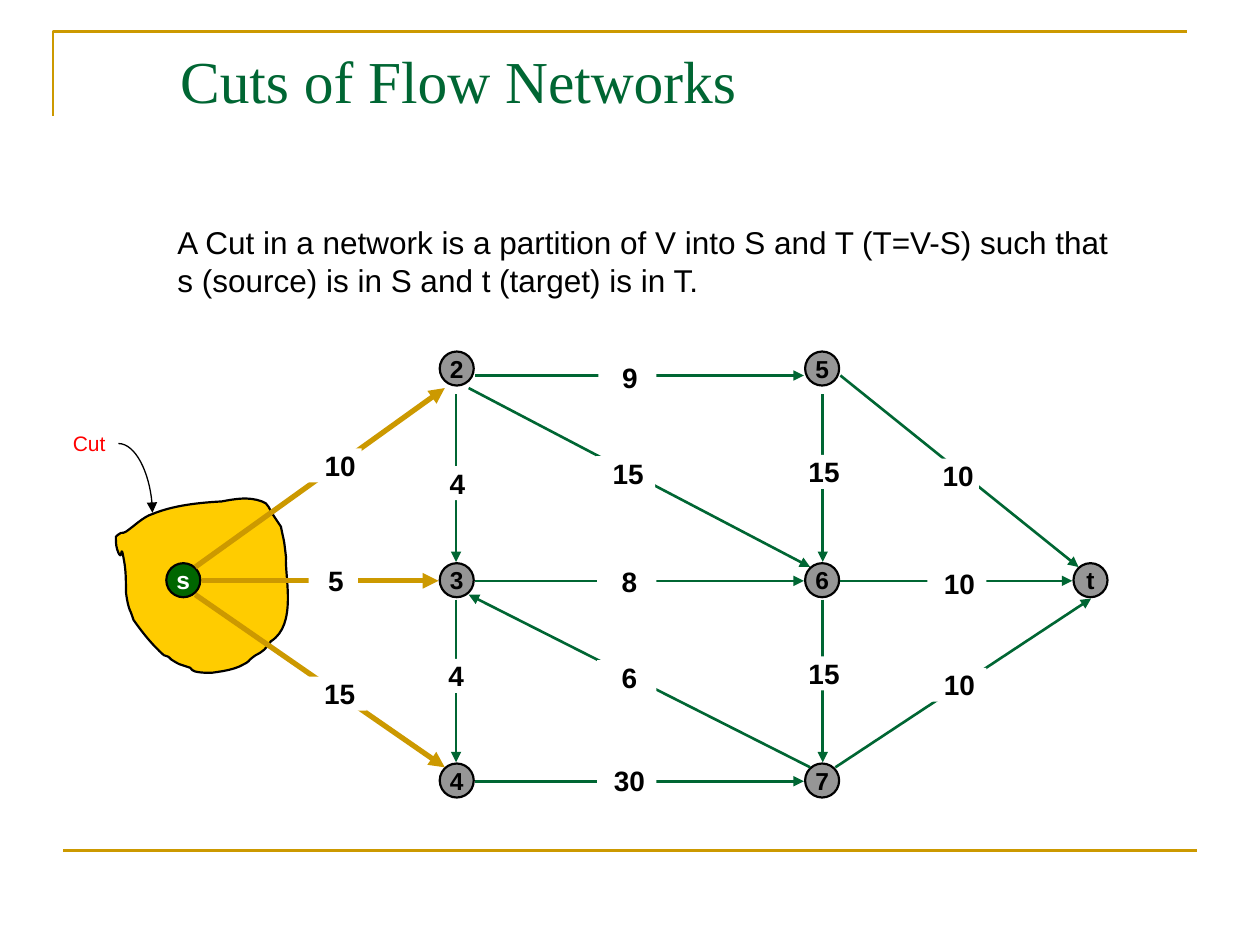
from typing import NamedTuple

from lxml.etree import SubElement
from pptx import Presentation
from pptx.dml.color import RGBColor
from pptx.enum.shapes import MSO_CONNECTOR, MSO_SHAPE
from pptx.enum.text import MSO_ANCHOR, PP_ALIGN
from pptx.oxml.ns import qn
from pptx.util import Inches, Pt

COLORS = {
    "gold": "CC9900", "green": "006633", "yellow": "FFCC00", "source": "006600",
    "gray": "969696", "black": "000000", "white": "FFFFFF", "red": "FF0000",
}


class Node(NamedTuple):
    name: str
    x: float
    y: float
    fill: str = "gray"
    color: str = "black"


class Edge(NamedTuple):
    x1: float
    y1: float
    x2: float
    y2: float
    color: str = "green"
    width: float = 1.5


class Capacity(NamedTuple):
    value: str
    x: float
    y: float
    width: float = 0.47
    indent: float = 0.04


SIZE = 0.27
LEFT, RIGHT = 3.49, 6.39
TOP, MIDDLE, BOTTOM = 2.79, 4.47, 6.06
NODES = [
    Node("s", 1.32, MIDDLE, "source", "white"),
    Node("2", LEFT, TOP), Node("3", LEFT, MIDDLE), Node("4", LEFT, BOTTOM),
    Node("5", RIGHT, TOP), Node("6", RIGHT, MIDDLE), Node("7", RIGHT, BOTTOM),
    Node("t", 8.52, MIDDLE),
]
EDGES = [
    Edge(1.55, 4.5, 3.53, 3.08, "gold", 3),
    Edge(1.6, 4.61, 3.48, 4.61, "gold", 3),
    Edge(1.55, 4.72, 3.53, 6.09, "gold", 3),
    *[Edge(3.77, y, 6.38, y) for y in (2.98, 4.61, 6.2)],
    *[Edge(x, y1, x, y2) for x in (3.62, 6.53)
      for y1, y2 in ((3.13, 4.46), (4.76, 6.05))],
    Edge(3.72, 3.08, 6.43, 4.5),
    Edge(6.43, 6.09, 3.72, 4.72),
    Edge(6.67, 2.98, 8.56, 4.5),
    Edge(6.67, 4.61, 8.51, 4.61),
    Edge(6.63, 6.09, 8.66, 4.75),
]
CAPACITIES = [
    Capacity("10", 2.4, 3.56, indent=0.13), Capacity("5", 2.45, 4.47, 0.39),
    Capacity("15", 2.44, 5.37),
    Capacity("4", 3.38, 3.7, 0.46), Capacity("4", 3.37, 5.23, 0.46),
    Capacity("9", 4.75, 2.86, 0.46), Capacity("15", 4.73, 3.62),
    Capacity("8", 4.74, 4.48), Capacity("6", 4.74, 5.24), Capacity("30", 4.74, 6.06),
    Capacity("15", 6.29, 3.61, 0.46), Capacity("15", 6.29, 5.21, 0.46),
    Capacity("10", 7.31, 3.64, 0.46, 0.13), Capacity("10", 7.36, 4.5),
    Capacity("10", 7.36, 5.3),
]
CUT_START = (0.92, 4.26)
# Each row: two control points and the end point of a cubic curve.
CUT_CURVES = [
    (0.93, 4.25, 0.94, 4.24, 0.96, 4.23), (0.97, 4.23, 0.99, 4.23, 1, 4.22),
    (1.06, 4.18, 1.14, 4.1, 1.21, 4.08), (1.38, 4.01, 1.58, 3.99, 1.76, 3.98),
    (1.87, 3.96, 1.97, 3.94, 2.08, 3.98), (2.13, 3.99, 2.14, 4.05, 2.17, 4.09),
    (2.19, 4.12, 2.23, 4.18, 2.23, 4.18), (2.26, 4.33, 2.25, 4.25, 2.27, 4.42),
    (2.26, 4.58, 2.36, 4.96, 2.15, 5.09), (2.11, 5.15, 2.09, 5.17, 2.03, 5.2),
    (1.93, 5.27, 2.02, 5.23, 1.9, 5.29), (1.83, 5.32, 1.75, 5.33, 1.68, 5.34),
    (1.64, 5.34, 1.59, 5.34, 1.55, 5.33), (1.53, 5.33, 1.52, 5.31, 1.51, 5.3),
    (1.47, 5.28, 1.46, 5.29, 1.42, 5.27), (1.29, 5.2, 1.39, 5.23, 1.3, 5.2),
    (1.21, 5.12, 1.13, 5.02, 1.06, 4.92), (1.05, 4.89, 1.04, 4.86, 1.03, 4.84),
    (1.01, 4.79, 1, 4.7, 1, 4.7), (1, 4.63, 1, 4.55, 0.99, 4.48),
    (0.95, 4.24, 0.98, 4.51, 0.93, 4.36), (0.92, 4.33, 0.92, 4.29, 0.92, 4.26),
]


def rgb(name: str) -> RGBColor:
    return RGBColor.from_string(COLORS[name])


def add_run(p, text: str, size: float, color: str = "black",
            bold: bool = False, font: str = "Arial") -> None:
    r = p.add_run()
    r.text = text
    r.font.size, r.font.bold, r.font.name = Pt(size), bold, font
    r.font.color.rgb = rgb(color)


def style(sp, fill: str = "", line: str = "", width: float = 1.25) -> None:
    """Set fill and line; an empty name means none."""
    sp.shadow.inherit = False
    if fill:
        sp.fill.solid()
        sp.fill.fore_color.rgb = rgb(fill)
    else:
        sp.fill.background()
    if line:
        sp.line.color.rgb = rgb(line)
        sp.line.width = Pt(width)
    else:
        sp.line.fill.background()


def add_outline(s, points: list, closed: bool):
    (x, y), *rest = [(Inches(px), Inches(py)) for px, py in points]
    builder = s.shapes.build_freeform(x, y)
    builder.add_line_segments(rest, close=closed)
    return builder.convert_to_shape()


def add_curved_outline(s, start: tuple, curves: list):
    """Draw a closed outline, turning every three line points into one cubic curve."""
    points = [start] + [c[i:i + 2] for c in curves for i in (0, 2, 4)]
    sp = add_outline(s, points, closed=True)
    lines = list(sp._element.iter(qn("a:lnTo")))
    for i in range(0, 3 * len(curves), 3):
        first, *others = lines[i:i + 3]
        first.tag = qn("a:cubicBezTo")
        for line in others:
            first.append(line[0])
            line.getparent().remove(line)
    return sp


def add_edge(s, e: Edge, kind=MSO_CONNECTOR.STRAIGHT, arrow: bool = True):
    c = s.shapes.add_connector(kind, Inches(e.x1), Inches(e.y1), Inches(e.x2), Inches(e.y2))
    c.line.color.rgb = rgb(e.color)
    c.line.width = Pt(e.width)
    if arrow:
        SubElement(c.line._get_or_add_ln(), qn("a:tailEnd"), type="triangle")
    SubElement(c._element.spPr, qn("a:effectLst"))
    return c


def add_node(s, n: Node) -> None:
    sp = s.shapes.add_shape(MSO_SHAPE.OVAL, Inches(n.x), Inches(n.y), Inches(SIZE), Inches(SIZE))
    style(sp, n.fill, "black")
    tf = sp.text_frame
    tf.word_wrap = False
    tf.vertical_anchor = MSO_ANCHOR.MIDDLE
    p = tf.paragraphs[0]
    p.alignment = PP_ALIGN.CENTER
    add_run(p, n.name, 14, n.color, bold=True)


def add_capacity(s, c: Capacity) -> None:
    sp = s.shapes.add_shape(MSO_SHAPE.RECTANGLE, Inches(c.x), Inches(c.y),
                            Inches(c.width), Inches(SIZE))
    style(sp, "white")
    tf = sp.text_frame
    tf.margin_left = Inches(c.indent)
    tf.margin_right = tf.margin_top = tf.margin_bottom = 0
    tf.vertical_anchor = MSO_ANCHOR.TOP
    p = tf.paragraphs[0]
    p.alignment = PP_ALIGN.CENTER
    add_run(p, c.value, 16, bold=True)


def add_text(s, box: tuple, lines: list, size: float, color: str = "black") -> None:
    tf = s.shapes.add_textbox(*map(Inches, box)).text_frame
    tf.word_wrap = False
    for i, line in enumerate(lines):
        p = tf.add_paragraph() if i else tf.paragraphs[0]
        add_run(p, line, size, color)


def main() -> None:
    prs = Presentation()
    prs.slide_width, prs.slide_height = Inches(10), Inches(7.5)
    s = prs.slides.add_slide(prs.slide_layouts[5])

    title = s.shapes.title
    title.left, title.top, title.width, title.height = map(Inches, (1.33, 0.3, 9, 1.25))
    title.text_frame.vertical_anchor = MSO_ANCHOR.TOP
    p = title.text_frame.paragraphs[0]
    p.alignment = PP_ALIGN.LEFT
    add_run(p, "Cuts of Flow Networks", 34, "green", font="Times New Roman")

    corner = add_outline(s, [(0.42, 0.92), (0.42, 0.25), (9.42, 0.25)], closed=False)
    style(corner, line="gold", width=1.5)
    add_edge(s, Edge(0.5, 6.75, 9.5, 6.75, "gold"), arrow=False)

    add_text(s, (1.31, 1.72, 7.69, 0.7), [
        "A Cut in a network is a partition of V into S and T (T=V-S) such that",
        "s (source) is in S and t (target) is in T.",
    ], 18)

    cut = add_curved_outline(s, CUT_START, CUT_CURVES)
    style(cut, "yellow", "black")
    for node in NODES:
        add_node(s, node)
    for edge in EDGES:
        add_edge(s, edge)
    for capacity in CAPACITIES:
        add_capacity(s, capacity)

    add_text(s, (0.48, 3.37, 0.46, 0.3), ["Cut"], 12, "red")
    pointer = add_edge(s, Edge(0.94, 3.52, 1.21, 4.07, "black", 0.75), MSO_CONNECTOR.CURVE)
    pointer._element.spPr.find(qn("a:prstGeom")).set("prst", "curvedConnector2")
    prs.save("out.pptx")


if __name__ == "__main__":
    main()
